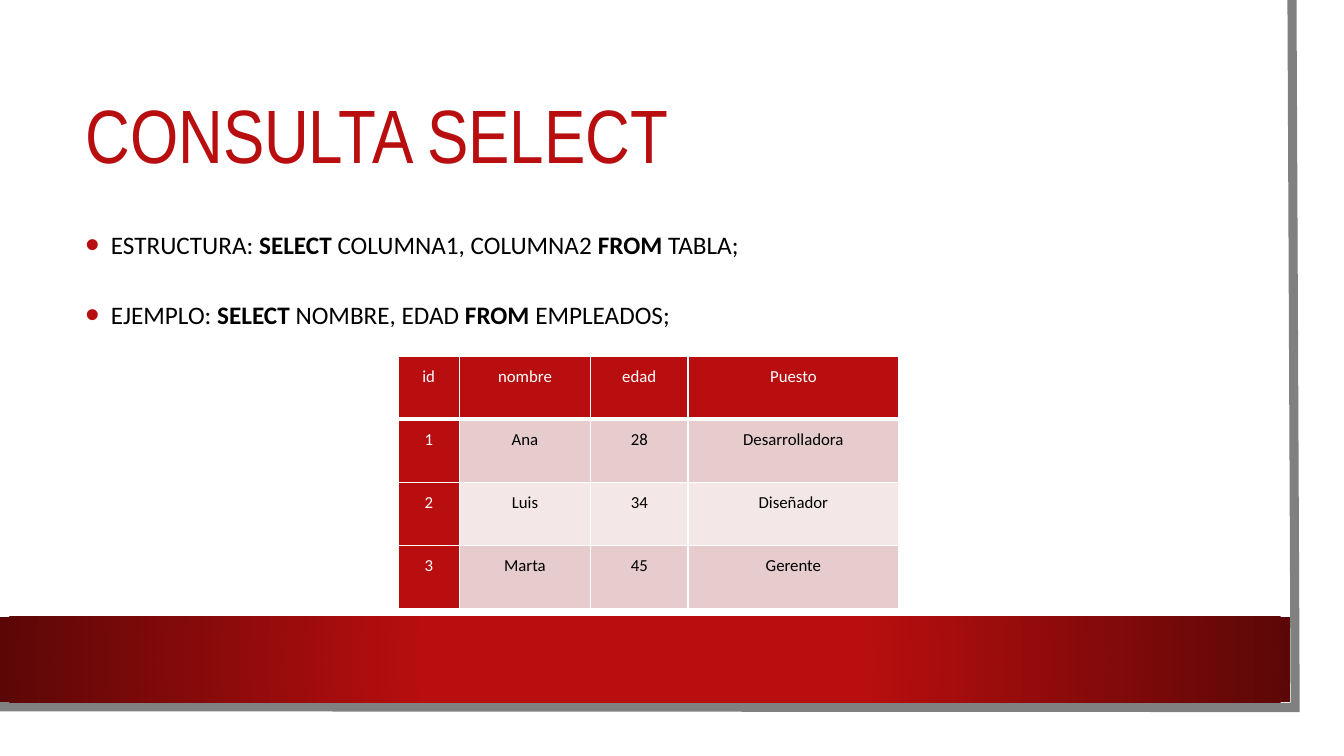
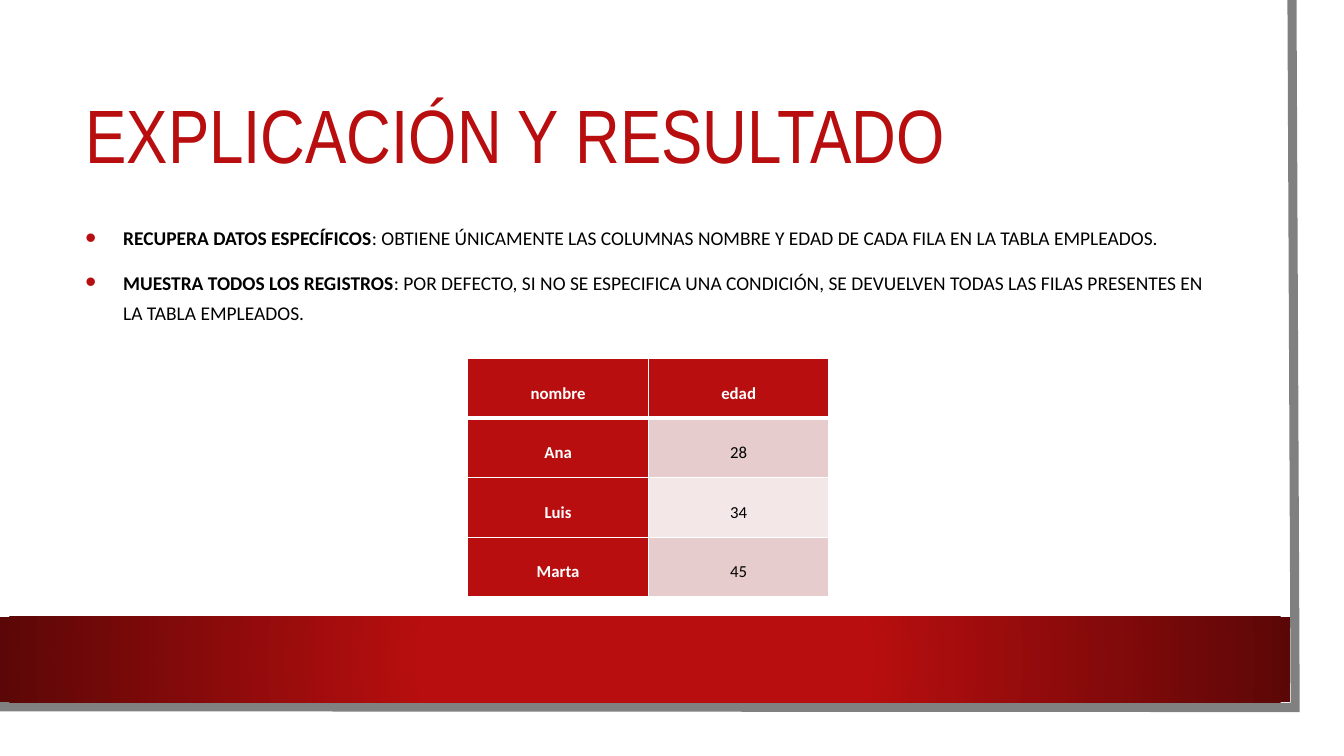
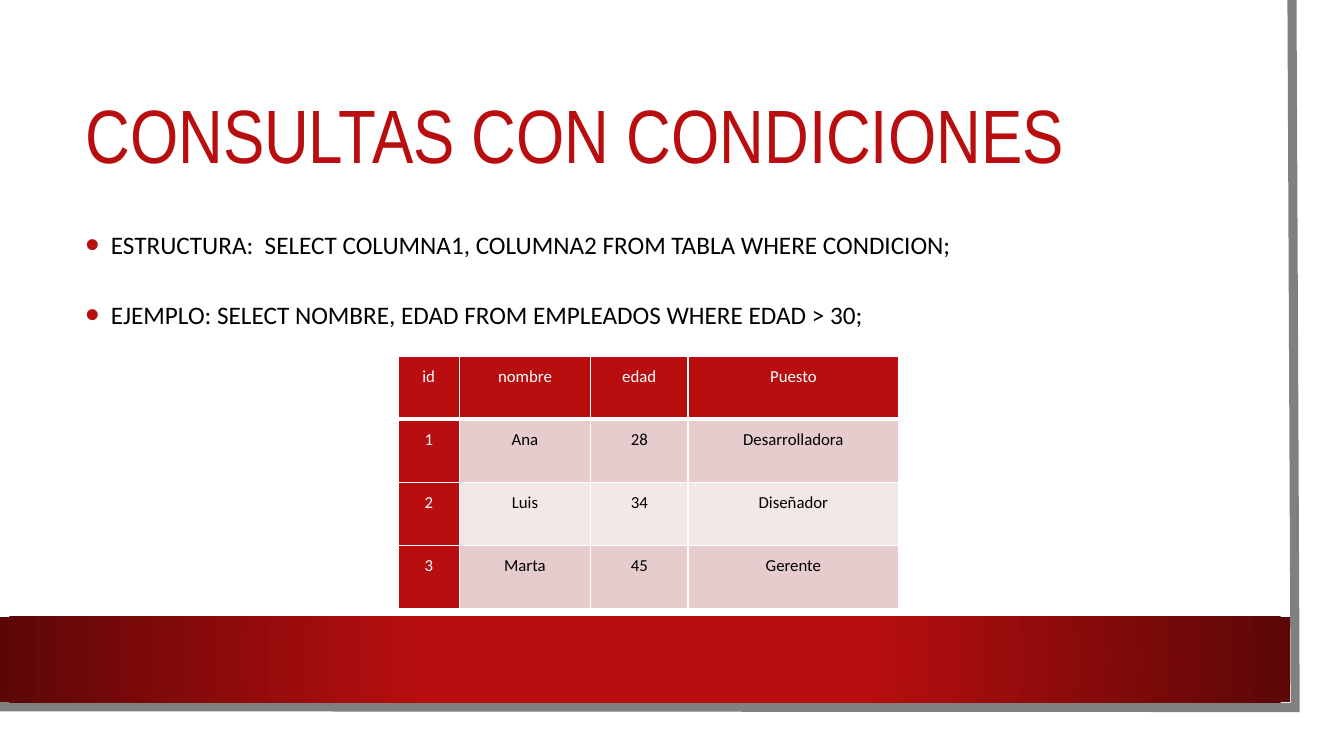
import pptx
import pptx.dml.color
import pptx.enum.shapes
import pptx.enum.text
import pptx.oxml
import pptx.oxml.ns
import pptx.util
from pptx.util import Cm, Pt

# Palette and fonts
RED, DARK_RED, GREY = "B80E0F", "5C0707", "808080"
PINK, PALE_PINK, WHITE, BLACK = "E6CCCC", "F3E7E7", "FFFFFF", "000000"
TITLE_FONT, TEXT_FONT = "Arial Narrow", "Calibri"

# Shared geometry in cm: left, top, width, height
SLIDE_SIZE = 33.87, 19.05
TITLE_BOX = 1.9, 1.9, 28.88, 3.2
BODY_BOX = 1.9, 5.1, 28.88, 3.5
SHEET_BOX = 0, 0, 33.27, 18.47
BAND_BOX = 0, 15.54, 32.51, 2.16
EDGE_POINTS = [(32.56, 0), (32.64, 17.83), (-0.08, 17.81)]

# Content: words between asterisks are bold
EMPLOYEES = dict(
    rows=[("id", "nombre", "edad", "Puesto"),
          ("1", "Ana", "28", "Desarrolladora"),
          ("2", "Luis", "34", "Diseñador"),
          ("3", "Marta", "45", "Gerente")],
    widths=[1.55, 3.3, 2.46, 5.31], top=8.97, row_height=1.59,
    margin=0.18, bold_heads=False, anchor="TOP")
RESULT = dict(
    rows=[("nombre", "edad"), ("Ana", "28"), ("Luis", "34"), ("Marta", "45")],
    widths=[4.55, 4.55], top=9.04, row_height=1.5,
    margin=0.13, bold_heads=True, anchor="MIDDLE")

QUERY_LIST = dict(size=18, spacing=1.5, indent=0.64, after=(8, 8))
NOTE_LIST = dict(size=13.9, spacing=1.3, indent=0.95, after=(0, 8))

SLIDES = [
    ("CONSULTA SELECT",
     ["ESTRUCTURA: *SELECT* COLUMNA1, COLUMNA2 *FROM *TABLA;",
      "EJEMPLO: *SELECT* NOMBRE, EDAD *FROM *EMPLEADOS;"],
     QUERY_LIST, EMPLOYEES),
    ("EXPLICACIÓN Y RESULTADO",
     ["*RECUPERA DATOS ESPECÍFICOS*: OBTIENE ÚNICAMENTE LAS COLUMNAS NOMBRE "
      "Y EDAD DE CADA FILA EN LA TABLA EMPLEADOS.",
      "*MUESTRA TODOS LOS REGISTROS*: POR DEFECTO, SI NO SE ESPECIFICA UNA "
      "CONDICIÓN, SE DEVUELVEN TODAS LAS FILAS PRESENTES EN LA TABLA EMPLEADOS."],
     NOTE_LIST, RESULT),
    ("CONSULTAS CON CONDICIONES",
     ["ESTRUCTURA:  SELECT COLUMNA1, COLUMNA2 FROM TABLA WHERE CONDICION;",
      "EJEMPLO: SELECT NOMBRE, EDAD FROM EMPLEADOS WHERE EDAD > 30;"],
     QUERY_LIST, EMPLOYEES),
]


def rgb(color):
    return pptx.dml.color.RGBColor.from_string(color)


def xml(markup):
    tag, rest = markup[1:].split(" ", 1)
    return pptx.oxml.parse_xml(f"<{tag} {pptx.oxml.ns.nsdecls('a')} {rest}")


def solid(color):
    return f'<a:solidFill><a:srgbClr val="{color}"/></a:solidFill>'


def add_run(paragraph, text, font, size, color, bold=False):
    run = paragraph.add_run()
    run.text = text
    run.font.name, run.font.size, run.font.bold = font, Pt(size), bold
    run.font.color.rgb = rgb(color)


def space(paragraph, align, line, before=0, after=0):
    paragraph.alignment = getattr(pptx.enum.text.PP_ALIGN, align)
    paragraph.line_spacing = line
    paragraph.space_before, paragraph.space_after = Pt(before), Pt(after)


def prepare_layout(layout):
    """Keep only title and body, and place them for every slide."""
    boxes = {0: TITLE_BOX, 1: BODY_BOX}
    for holder in list(layout.placeholders):
        box = boxes.get(holder.placeholder_format.idx)
        if box is None:
            holder.element.getparent().remove(holder.element)
            continue
        holder.left, holder.top, holder.width, holder.height = map(Cm, box)
        holder.text_frame.vertical_anchor = pptx.enum.text.MSO_ANCHOR.MIDDLE
        holder.text_frame.auto_size = pptx.enum.text.MSO_AUTO_SIZE.NONE


def add_frame(slide, layout):
    """Draw sheet, grey edge and red band, then hand them to the layout."""
    rectangle = pptx.enum.shapes.MSO_SHAPE.RECTANGLE
    sheet = slide.shapes.add_shape(rectangle, *map(Cm, SHEET_BOX))
    sheet.fill.solid()
    sheet.fill.fore_color.rgb = rgb(WHITE)
    sheet.line.fill.background()

    corners = [(Cm(x), Cm(y)) for x, y in EDGE_POINTS]
    outline = slide.shapes.build_freeform(*corners[0])
    outline.add_line_segments(corners[1:], close=False)
    edge = outline.convert_to_shape()
    edge.fill.background()
    edge.line.color.rgb = rgb(GREY)
    edge.line.width = Pt(6.5)
    edge.line._get_or_add_ln().append(xml('<a:miter lim="800000"/>'))

    band = slide.shapes.add_shape(rectangle, *map(Cm, BAND_BOX))
    stops = "".join(f'<a:gs pos="{pos}000"><a:srgbClr val="{color}"/></a:gs>'
                    for pos, color in [(34, RED), (100, DARK_RED)])
    band.element.spPr.append(xml(
        f'<a:gradFill rotWithShape="1"><a:gsLst>{stops}</a:gsLst>'
        '<a:path path="circle"><a:fillToRect l="50000" t="50000" r="50000" '
        'b="50000"/></a:path></a:gradFill>'))
    band.line.fill.background()

    for place, part in enumerate((sheet, edge, band), start=2):
        part.shadow.inherit = False
        layout.shapes.element.insert(place, part.element)


def fill_title(title, text):
    paragraph = title.text_frame.paragraphs[0]
    space(paragraph, "LEFT", 0.9)
    add_run(paragraph, text, TITLE_FONT, 54, RED)


def fill_list(body, items, style):
    frame = body.text_frame
    for number, (item, after) in enumerate(zip(items, style["after"])):
        paragraph = frame.add_paragraph() if number else frame.paragraphs[0]
        space(paragraph, "LEFT", style["spacing"], 10, after)
        props = paragraph._p.get_or_add_pPr()
        props.set("marL", str(Cm(style["indent"])))
        props.set("indent", str(-Cm(style["indent"])))
        for bullet in (f'<a:buClr ><a:srgbClr val="{RED}"/></a:buClr>',
                       '<a:buSzPct val="160000"/>',
                       '<a:buFont typeface="Arial"/>',
                       '<a:buChar char="•"/>'):
            props.append(xml(bullet))
        for part, text in enumerate(item.split("*")):
            if text:
                add_run(paragraph, text, TEXT_FONT, style["size"], BLACK,
                        bold=part % 2 == 1)


def add_data_table(slide, data):
    rows, widths = data["rows"], data["widths"]
    left = BODY_BOX[0] + (BODY_BOX[2] - sum(widths)) / 2
    table = slide.shapes.add_table(
        len(rows), len(widths), Cm(left), Cm(data["top"]),
        Cm(sum(widths)), Cm(data["row_height"] * len(rows))).table
    for column, width in zip(table.columns, widths):
        column.width = Cm(width)
    for r, values in enumerate(rows):
        table.rows[r].height = Cm(data["row_height"])
        for c, value in enumerate(values):
            cell = table.cell(r, c)
            is_head = r == 0 or c == 0
            # White rules, heavier under the heading row
            heavy = {0: "B", 1: "T"}.get(r)
            for side in "LRTB":
                weight = Pt(3 if side == heavy else 1)
                cell._tc.get_or_add_tcPr().append(xml(
                    f'<a:ln{side} w="{weight}">{solid(WHITE)}</a:ln{side}>'))
            cell.fill.solid()
            cell.fill.fore_color.rgb = rgb(
                RED if is_head else PINK if r % 2 else PALE_PINK)
            cell.margin_left = cell.margin_right = Cm(data["margin"])
            cell.margin_top = cell.margin_bottom = 0
            cell.vertical_anchor = getattr(pptx.enum.text.MSO_ANCHOR, data["anchor"])
            paragraph = cell.text_frame.paragraphs[0]
            space(paragraph, "CENTER", 1.5, after=8)
            add_run(paragraph, value, TEXT_FONT, 12, WHITE if is_head else BLACK,
                    bold=is_head and data["bold_heads"])


def main():
    deck = pptx.Presentation()
    deck.slide_width, deck.slide_height = map(Cm, SLIDE_SIZE)
    layout = deck.slide_layouts[1]
    prepare_layout(layout)
    for title, items, style, data in SLIDES:
        slide = deck.slides.add_slide(layout)
        fill_title(slide.shapes.title, title)
        fill_list(slide.placeholders[1], items, style)
        add_data_table(slide, data)
    add_frame(deck.slides[0], layout)
    deck.save("out.pptx")


if __name__ == "__main__":
    main()
